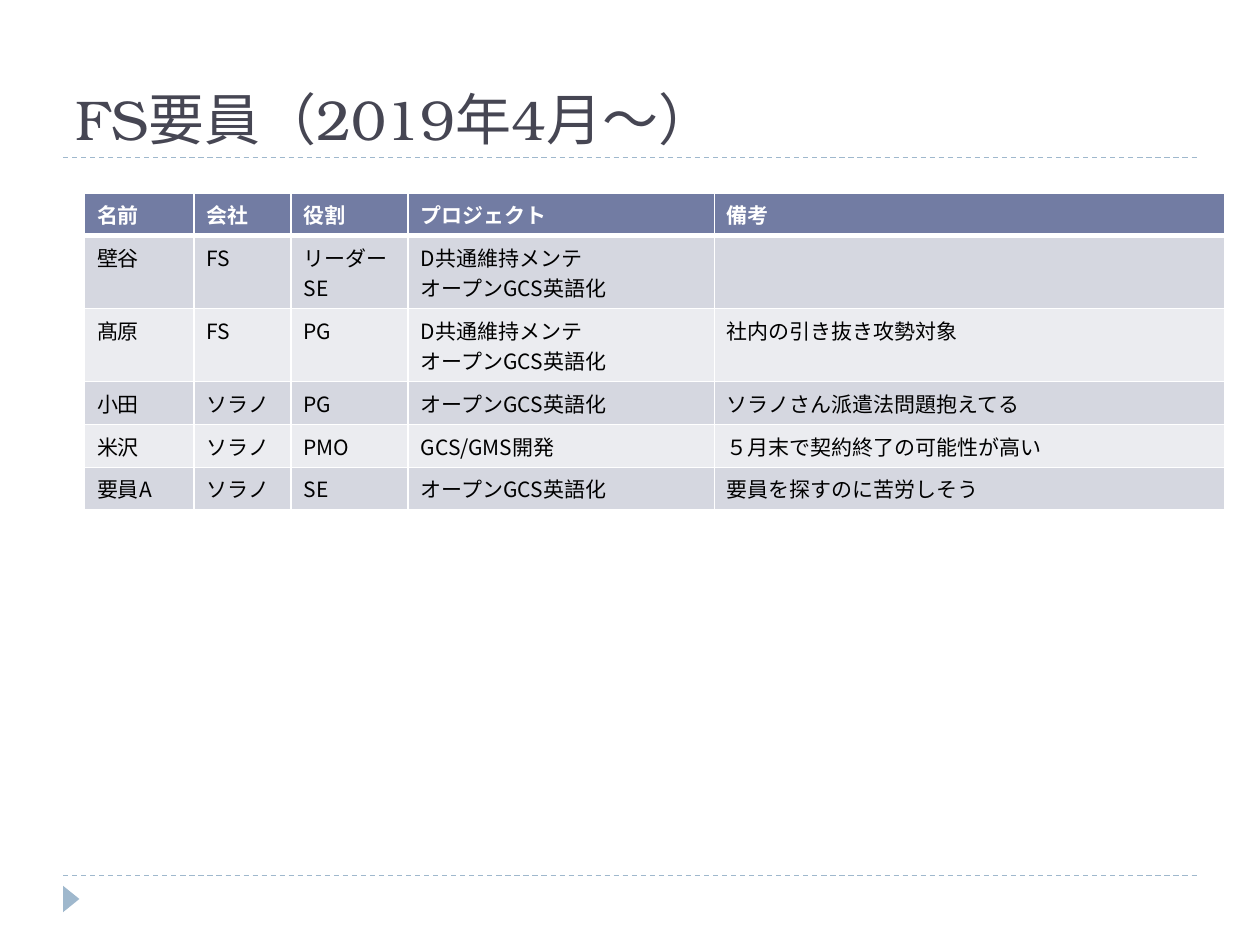
from lxml import etree
from pptx import Presentation
from pptx.dml.color import RGBColor
from pptx.enum.dml import MSO_LINE
from pptx.enum.shapes import MSO_CONNECTOR, MSO_SHAPE
from pptx.enum.text import MSO_ANCHOR
from pptx.oxml.ns import qn
from pptx.util import Inches, Pt

WHITE = RGBColor(0xFF, 0xFF, 0xFF)
BLACK = RGBColor(0x00, 0x00, 0x00)
INK = RGBColor(0x46, 0x46, 0x53)
SKY = RGBColor(0x9F, 0xB8, 0xCD)
HEADER = RGBColor(0x72, 0x7C, 0xA3)
BANDS = (RGBColor(0xD5, 0xD7, 0xE0), RGBColor(0xEB, 0xEC, 0xF0))

WIDTH, HEIGHT = 10, 7.5
MARGIN = 0.05  # share of the slide's width


class SlideBuilder:
    """Holds the style and the current slide; positions are shares of the slide."""

    title_font = "TeX Gyre Bonum"
    body_font = "Noto Sans CJK JP"

    def __init__(self, deck):
        self.deck = deck
        self.page = deck.slides.add_slide(deck.slide_layouts[6])

    def place(self, left, top, width, height):
        across, down = self.deck.slide_width, self.deck.slide_height
        return (round(left * across), round(top * down),
                round(width * across), round(height * down))

    def add_span(self, para, text, font, size, color, bold=False):
        span = para.add_run()
        span.text = text
        span.font.name, span.font.size, span.font.bold = font, Pt(size), bold
        span.font.color.rgb = color
        east_asian = etree.SubElement(span.font._element, qn("a:ea"))
        east_asian.set("typeface", self.body_font)

    def title(self, text, *area):
        box = self.page.shapes.add_textbox(*self.place(*area))
        frame = box.text_frame
        frame.word_wrap = True
        frame.vertical_anchor = MSO_ANCHOR.BOTTOM
        self.add_span(frame.paragraphs[0], text, self.title_font, 32, INK)

    def rule(self, top):
        left, y, width, _ = self.place(MARGIN, top, 1 - 2 * MARGIN, 0)
        line = self.page.shapes.add_connector(
            MSO_CONNECTOR.STRAIGHT, left, y, left + width, y)
        line.line.color.rgb = SKY
        line.line.width = Pt(0.75)
        line.line.dash_style = MSO_LINE.DASH
        etree.SubElement(line._element.spPr, qn("a:effectLst"))

    def marker(self, *area):
        shape = self.page.shapes.add_shape(
            MSO_SHAPE.ISOSCELES_TRIANGLE, *self.place(*area))
        shape.rotation = 90
        shape.shadow.inherit = False
        shape.fill.solid()
        shape.fill.fore_color.rgb = SKY
        shape.line.fill.background()

    def borders(self, cell, bottom):
        properties = cell._tc.get_or_add_tcPr()
        for index, side in enumerate(("lnL", "lnR", "lnT", "lnB")):
            points = bottom if side == "lnB" else 1
            edge = etree.Element(qn(f"a:{side}"), w=str(Pt(points)))
            fill = etree.SubElement(edge, qn("a:solidFill"))
            etree.SubElement(fill, qn("a:srgbClr"), val=str(WHITE))
            properties.insert(index, edge)

    def cell(self, cell, text, fill, color, bold, bottom):
        cell.fill.solid()
        cell.fill.fore_color.rgb = fill
        self.borders(cell, bottom)
        for number, line in enumerate(text.split("\n") if text else []):
            frame = cell.text_frame
            para = frame.add_paragraph() if number else frame.paragraphs[0]
            self.add_span(para, line, self.body_font, 12, color, bold)

    def table(self, rows, widths, heights, *area):
        table = self.page.shapes.add_table(
            len(rows), len(widths), *self.place(*area)).table
        table.first_row = table.horz_banding = False
        for column, width in zip(table.columns, widths):
            column.width = Inches(width)
        for index, (row, height) in enumerate(zip(rows, heights)):
            table.rows[index].height = Inches(height)
            head = index == 0
            fill = HEADER if head else BANDS[(index - 1) % 2]
            for column, text in enumerate(row):
                self.cell(table.cell(index, column), text, fill,
                          WHITE if head else BLACK, head, 3 if head else 1)


deck = Presentation()
deck.slide_width, deck.slide_height = Inches(WIDTH), Inches(HEIGHT)
slide = SlideBuilder(deck)

# Frame: dashed rules and the footer marker
for rule_top in (6.95, 1.25):
    slide.rule(rule_top / HEIGHT)
slide.marker(0.46 / WIDTH, 7.07 / HEIGHT, 0.21 / WIDTH, 0.13 / HEIGHT)

# Title
slide.title("FS要員（2019年4月～）",
            MARGIN, 0.17 / HEIGHT, 1 - 2 * MARGIN, 1.08 / HEIGHT)

# Staff table: rows are as tall as their one or two lines
AGENCY = "ソラノ"
OPEN = "オープンGCS英語化"
BOTH = "D共通維持メンテ\n" + OPEN
staff = [
    ("名前", "会社", "役割", "プロジェクト", "備考"),
    ("壁谷", "FS", "リーダー\nSE", BOTH, ""),
    ("髙原", "FS", "PG", BOTH, "社内の引き抜き攻勢対象"),
    ("小田", AGENCY, "PG", OPEN, AGENCY + "さん派遣法問題抱えてる"),
    ("米沢", AGENCY, "PMO", "GCS/GMS開発", "５月末で契約終了の可能性が高い"),
    ("要員A", AGENCY, "SE", OPEN, "要員を探すのに苦労しそう"),
]
column_widths = (0.87, 0.77, 0.93, 2.43, 4.05)
row_heights = [0.58 if "\n" in row[3] else 0.34 for row in staff]
slide.table(staff, column_widths, row_heights,
            0.67 / WIDTH, 1.53 / HEIGHT,
            sum(column_widths) / WIDTH, sum(row_heights) / HEIGHT)

deck.save("out.pptx")
